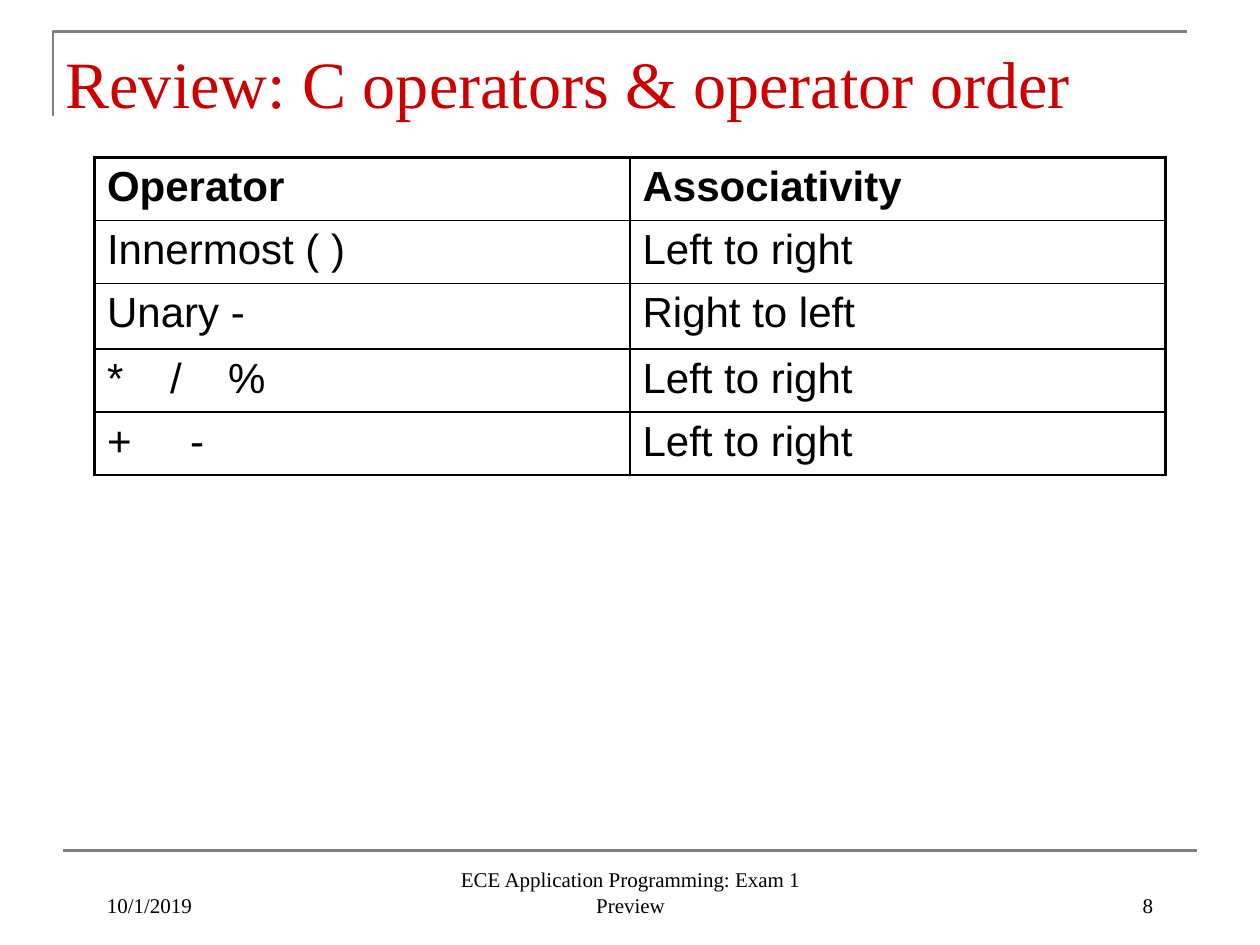
from lxml.etree import SubElement as Sub
from pptx import Presentation
from pptx.dml.color import RGBColor as Rgb
from pptx.enum.shapes import MSO_CONNECTOR as Conn
from pptx.enum.text import MSO_ANCHOR as Anchor, MSO_AUTO_SIZE as Auto, PP_ALIGN as Align
from pptx.oxml.ns import qn
from pptx.util import Inches, Pt

HUES = {"rule": "808080", "title": "CC0000", "text": "000000"}
HEAD = {"name": "Times New Roman", "size": Pt(37.8), "bold": False}
FOOT = {"name": "Times New Roman", "size": Pt(12)}
BODY = {"name": "Arial", "size": Pt(24), "bold": False}
ROWS = [
    ("Operator", "Associativity"),
    ("Innermost ( )", "Left to right"),
    ("Unary -", "Right to left"),
    ("*\t/\t%", "Left to right"),
    ("+\t-", "Left to right"),
]
TABS = {3: (0.5, 0.96), 4: (0.66,)}


class Page:
    def __init__(self, deck):
        self.slide = deck.slides.add_slide(deck.slide_layouts[5])
        self.shapes = self.slide.shapes

    def text(self, para, words, style, hue="text", align=Align.LEFT):
        para.alignment = align
        run = para.add_run()
        run.text = words
        for key, val in style.items():
            setattr(run.font, key, val)
        run.font.color.rgb = Rgb.from_string(HUES[hue])

    def frame(self, shape, box, **form):
        shape.left, shape.top, shape.width, shape.height = map(Inches, box)
        frame = shape.text_frame
        form = {"word_wrap": True, "auto_size": Auto.NONE, **form}
        for key, val in form.items():
            setattr(frame, key, val)
        return frame.paragraphs[0]

    def title(self, words, box):
        para = self.frame(self.shapes.title, box, vertical_anchor=Anchor.MIDDLE,
                          margin_bottom=Inches(0.17))
        self.text(para, words, HEAD, "title")

    def label(self, words, box, align):
        shape = self.shapes.add_textbox(*map(Inches, box))
        para = self.frame(shape, box, vertical_anchor=Anchor.BOTTOM)
        self.text(para, words, FOOT, align=align)

    def ink(self, shape):
        shape.line.color.rgb = Rgb.from_string(HUES["rule"])
        shape.line.width = Pt(1.5)

    def corner(self, first, *rest):
        pen = self.shapes.build_freeform(*map(Inches, first))
        pen.add_line_segments([tuple(map(Inches, dot)) for dot in rest], close=False)
        shape = pen.convert_to_shape()
        shape.shadow.inherit = False
        shape.fill.background()
        self.ink(shape)

    def rule(self, *ends):
        line = self.shapes.add_connector(Conn.STRAIGHT, *map(Inches, ends))
        Sub(line._element.spPr, qn("a:effectLst"))
        self.ink(line)

    def edge(self, cell, sides):
        props = cell._tc.get_or_add_tcPr()
        for side, width in sides.items():
            line = Sub(props, qn(f"a:ln{side}"), w=str(Pt(width)))
            fill = Sub(line, qn("a:solidFill"))
            Sub(fill, qn("a:srgbClr"), val=HUES["text"])

    def stops(self, para, spots):
        tabs = Sub(para._p.get_or_add_pPr(), qn("a:tabLst"))
        for spot in spots:
            Sub(tabs, qn("a:tab"), pos=str(Inches(spot)), algn="l")

    def table(self, rows, box, highs):
        last = len(rows[0]) - 1
        grid = self.shapes.add_table(len(rows), last + 1, *map(Inches, box)).table
        grid.first_row = grid.horz_banding = False
        for r, (row, high) in enumerate(zip(rows, highs)):
            grid.rows[r].height = Inches(high)
            for c, words in enumerate(row):
                cell = grid.cell(r, c)
                self.edge(cell, {"L": 2.25 if c == 0 else 1, "R": 2.25 if c == last else 1,
                                 "T": 2.25 if r == 0 else 1, "B": 1})
                cell.fill.background()
                para = cell.text_frame.paragraphs[0]
                if c == 0 and r in TABS:
                    self.stops(para, TABS[r])
                self.text(para, words, {**BODY, "bold": r == 0})


def main():
    deck = Presentation()
    deck.slide_width, deck.slide_height = Inches(10), Inches(7.5)
    page = Page(deck)
    page.corner((0.42, 0.92), (0.42, 0.25), (9.42, 0.25))
    page.rule(0.5, 6.75, 9.5, 6.75)
    page.title("Review: C operators & operator order", (0.42, 0.25, 8.5, 0.92))
    page.table(ROWS, (0.75, 1.25, 8.5, 2.52), (0.5, 0.5, 0.52, 0.5, 0.5))
    page.label("8", (7.17, 6.83, 2.08, 0.5), Align.RIGHT)
    page.label("10/1/2019", (0.75, 6.83, 2.08, 0.5), Align.LEFT)
    page.label("ECE Application Programming: Exam 1 Preview",
               (3.42, 6.83, 3.17, 0.5), Align.CENTER)
    deck.save("out.pptx")


if __name__ == "__main__":
    main()
